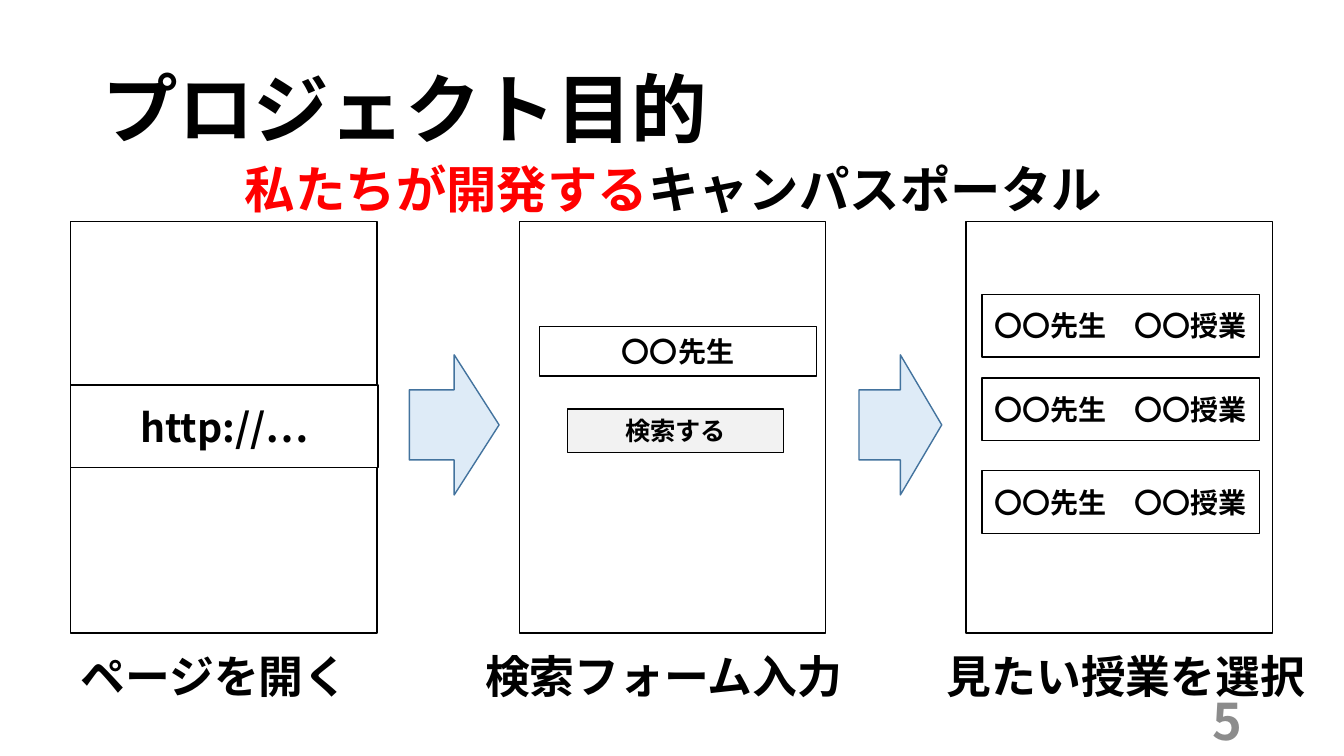
from lxml import etree
from pptx import Presentation
from pptx.dml.color import RGBColor
from pptx.enum.shapes import MSO_SHAPE
from pptx.enum.text import MSO_ANCHOR, PP_ALIGN
from pptx.oxml.ns import qn
from pptx.util import Emu, Pt

PX = 9144  # 100 px to the inch
RECT, ARROW = MSO_SHAPE.RECTANGLE, MSO_SHAPE.RIGHT_ARROW
LEFT, MID, RIGHT = PP_ALIGN.LEFT, PP_ALIGN.CENTER, PP_ALIGN.RIGHT
TOP, CENTER = MSO_ANCHOR.TOP, MSO_ANCHOR.MIDDLE

THEME = {
    "font": "Noto Sans CJK JP",
    "ink": "000000", "paper": "FFFFFF", "red": "FF0000", "gray": "8C8C8C",
    "button": "F2F2F2", "arrow": "DEEBF7", "edge": "43739E",
    "title": 54, "lead": 36, "step": 32, "url": 28, "row": 20, "small": 18,
}

deck = Presentation()
deck.slide_width, deck.slide_height = Emu(1333 * PX), Emu(750 * PX)
slide = deck.slides.add_slide(deck.slide_layouts[6])


def write(text, size, at=None, shape=None, color="ink", align=LEFT,
          anchor=TOP, wrap=True, space=None):
    """Write text, or a list of (text, color) runs, in a shape or a new box."""
    if shape is None:
        shape = slide.shapes.add_textbox(*[Emu(v * PX) for v in at])
    frame = shape.text_frame
    frame.word_wrap, frame.vertical_anchor = wrap, anchor
    para = frame.paragraphs[0]
    para.alignment = align
    if space:
        para.line_spacing = space
    for part, tone in [(text, color)] if isinstance(text, str) else text:
        run = para.add_run()
        run.text = part
        font = run.font
        font.size, font.bold, font.name = Pt(THEME[size]), True, THEME["font"]
        font.color.rgb = RGBColor.from_string(THEME[tone])
        east = etree.SubElement(run._r.get_or_add_rPr(), qn("a:ea"))
        east.set("typeface", THEME["font"])


def draw(kind, at, fill="paper", line="ink"):
    shape = slide.shapes.add_shape(kind, *[Emu(v * PX) for v in at])
    shape.shadow.inherit = False
    shape.fill.solid()
    shape.fill.fore_color.rgb = RGBColor.from_string(THEME[fill])
    shape.line.color.rgb = RGBColor.from_string(THEME[line])
    shape.line.width = Pt(1)
    return shape


# Title and lead
write("プロジェクト目的", "title", at=(92, 40, 1150, 145), anchor=CENTER, space=0.9)
write([("私たちが開発する", "red"), ("キャンパスポータル", "ink")], "lead",
      at=(233, 152, 878, 71), wrap=False)

# Three screens
for x in (70, 515, 958):
    draw(RECT, (x, 220, 304, 408))

# Step names
for text, x, w, align, wrap in (
    ("ページを開く", 70, 289, LEFT, False),
    ("検索フォーム入力", 398, 521, MID, True),
    ("見たい授業を選択", 929, 390, LEFT, True),
):
    write(text, "step", at=(x, 639, w, 64), align=align, wrap=wrap)

# Arrows between screens
for x, w in ((406, 89), (852, 82)):
    draw(ARROW, (x, 352, w, 139), fill="arrow", line="edge")

# Fields on the screens: address, search form, results
fields = [
    ("http://…", "url", (70, 382, 305, 82), "paper"),
    ("〇〇先生", "row", (535, 324, 275, 49), "paper"),
    ("検索する", "small", (563, 406, 214, 43), "button"),
]
for y in (292, 375, 467):
    fields.append(("〇〇先生　〇〇授業", "row", (974, y, 275, 62), "paper"))
for text, size, at, fill in fields:
    write(text, size, shape=draw(RECT, at, fill=fill), align=MID, anchor=CENTER)

# Page number
write("5", "lead", at=(942, 695, 300, 40), color="gray", align=RIGHT, anchor=CENTER)

deck.save("out.pptx")
